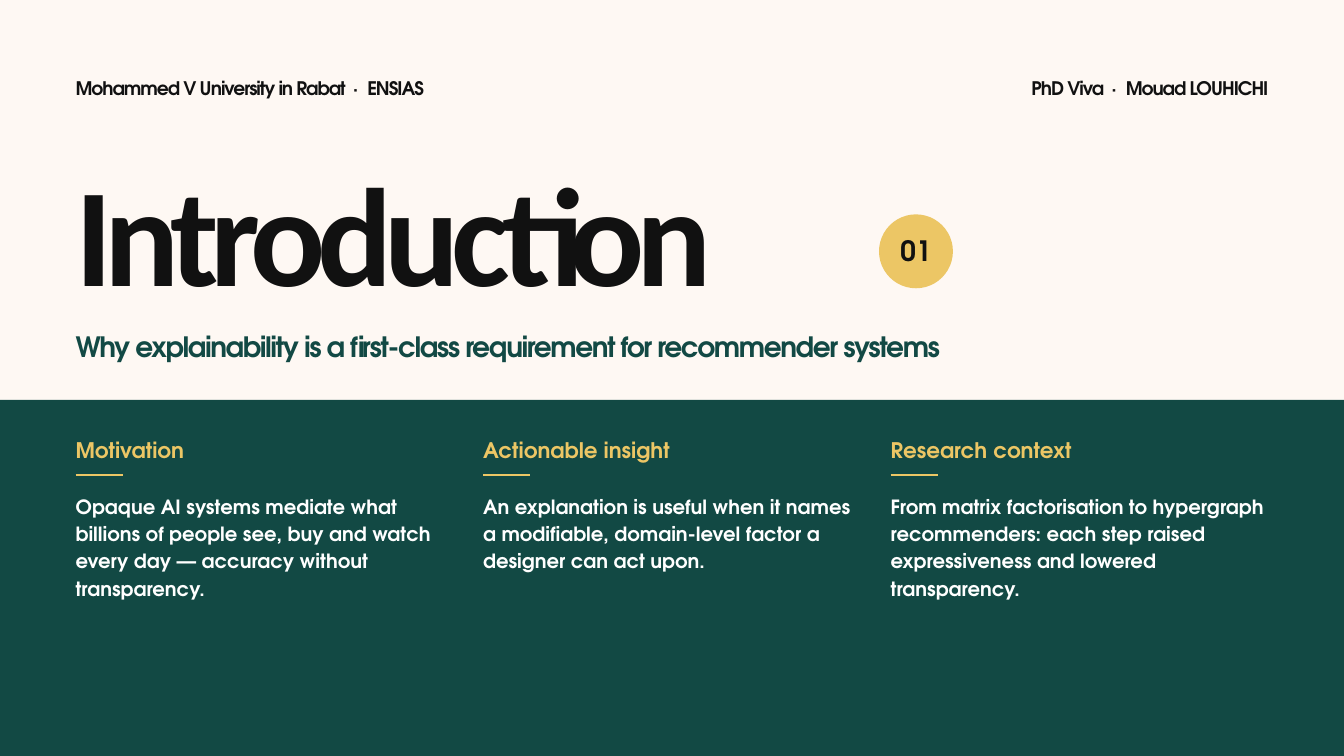
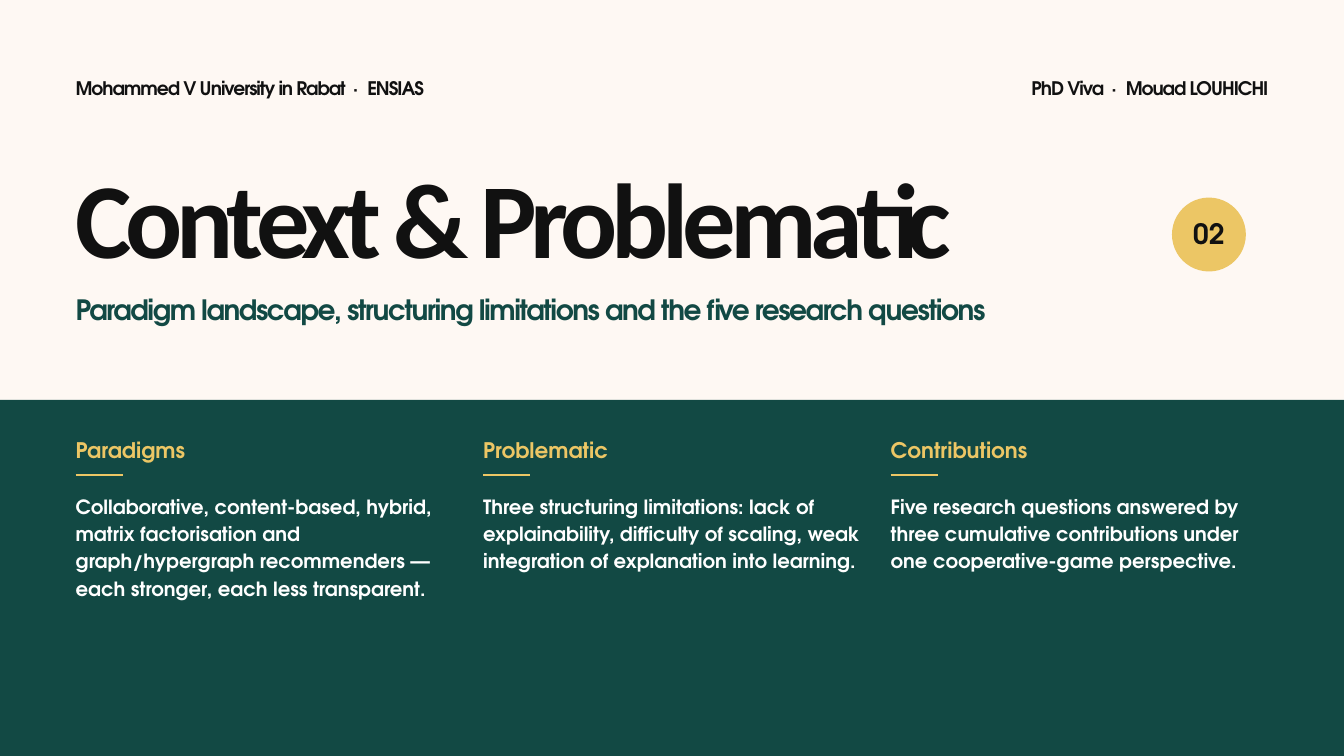
from pptx import Presentation
from pptx.dml.color import RGBColor
from pptx.enum.shapes import MSO_CONNECTOR, MSO_SHAPE
from pptx.enum.text import MSO_ANCHOR, MSO_AUTO_SIZE, PP_ALIGN
from pptx.oxml.ns import qn
from pptx.util import Pt
from lxml import etree

CREAM = RGBColor(0xFE, 0xF8, 0xF3)
INK = RGBColor(0x11, 0x11, 0x11)
GREEN = RGBColor(0x12, 0x49, 0x44)
GOLD = RGBColor(0xEC, 0xC6, 0x65)
WHITE = RGBColor(0xFF, 0xFF, 0xFF)

STRAIGHT = MSO_CONNECTOR.STRAIGHT
RECTANGLE, OVAL = MSO_SHAPE.RECTANGLE, MSO_SHAPE.OVAL
TOP, MIDDLE = MSO_ANCHOR.TOP, MSO_ANCHOR.MIDDLE
NO_AUTOFIT = MSO_AUTO_SIZE.NONE
LEFT, CENTER, RIGHT = PP_ALIGN.LEFT, PP_ALIGN.CENTER, PP_ALIGN.RIGHT

BODY_FONT, TITLE_FONT = "TeX Gyre Adventor", "Calibri"

HEADERS = [
    (("Mohammed V University in Rabat", "ENSIAS"), LEFT),
    (("PhD Viva", "Mouad LOUHICHI"), RIGHT),
]

SECTIONS = [
    {
        "number": "01",
        "title": "Introduction",
        "title_size": 150,
        "title_height": 180,
        "badge": (941.8, 229.7),
        "subtitle": "Why explainability is a first-class requirement for recommender systems",
        "subtitle_top": 351.4,
        "columns": [
            ("Motivation", "Opaque AI systems mediate what billions of people see, buy and "
             "watch every day — accuracy without transparency."),
            ("Actionable insight", "An explanation is useful when it names a modifiable, "
             "domain-level factor a designer can act upon."),
            ("Research context", "From matrix factorisation to hypergraph recommenders: each "
             "step raised expressiveness and lowered transparency."),
        ],
    },
    {
        "number": "02",
        "title": "Context & Problematic",
        "title_size": 114,
        "title_height": 136.8,
        "badge": (1255.7, 211.7),
        "subtitle": "Paradigm landscape, structuring limitations and the five research questions",
        "subtitle_top": 311,
        "columns": [
            ("Paradigms", "Collaborative, content-based, hybrid, matrix factorisation and "
             "graph/hypergraph recommenders — each stronger, each less transparent."),
            ("Problematic", "Three structuring limitations: lack of explainability, "
             "difficulty of scaling, weak integration of explanation into learning."),
            ("Contributions", "Five research questions answered by three cumulative "
             "contributions under one cooperative-game perspective."),
        ],
    },
]

SLIDE_WIDTH, SLIDE_HEIGHT = 1440, 810
MARGIN = 81
CONTENT_WIDTH = SLIDE_WIDTH - 2 * MARGIN
HEADER_TOP, HEADER_WIDTH = 77.8, 576
TITLE_TOP, TITLE_WIDTH = 183.6, 1170
BADGE_SIZE = 79.2
BAND_TOP = 428.4
COLUMN_COUNT, COLUMN_GAP = 3, 32
COLUMN_WIDTH = (CONTENT_WIDTH - (COLUMN_COUNT - 1) * COLUMN_GAP) / COLUMN_COUNT
HEADING_TOP, RULE_TOP, BODY_TOP = 468, 509, 525.6
RULE_LENGTH = 50.4

HEADER_STYLE = {"size": 20, "line": 28, "color": INK, "spacing": -1.1}
BADGE_STYLE = {"size": 30, "line": 34, "color": INK, "align": CENTER, "anchor": MIDDLE}
SUBTITLE_STYLE = {"size": 30, "line": 38, "color": GREEN, "spacing": -1.5}
HEADING_STYLE = {"size": 23, "line": 28, "color": GOLD}
BODY_STYLE = {"size": 21, "line": 29.4, "color": WHITE}
SEPARATOR_SPACING = 2


def write(shape, runs, size, line, color, font=BODY_FONT, spacing=0, align=LEFT, anchor=TOP):
    """Fill a shape with one paragraph made of (text, extra spacing) runs."""
    frame = shape.text_frame
    frame_format = {
        "margin_left": 0, "margin_top": 0, "margin_right": 0, "margin_bottom": 0,
        "word_wrap": True, "auto_size": NO_AUTOFIT, "vertical_anchor": anchor,
    }
    for name, value in frame_format.items():
        setattr(frame, name, value)
    paragraph = frame.paragraphs[0]
    paragraph.alignment = align
    paragraph.line_spacing = Pt(line)
    for text, run_spacing in runs:
        run = paragraph.add_run()
        run.text = text
        for name, value in {"name": font, "size": Pt(size), "bold": True}.items():
            setattr(run.font, name, value)
        run.font.color.rgb = color
        run_spacing = run_spacing or spacing
        if run_spacing:
            run._r.get_or_add_rPr().set("spc", str(round(run_spacing * 100)))


def add_text(slide, text, left, top, width, height, style):
    """Add a text box holding a single run."""
    box = slide.shapes.add_textbox(Pt(left), Pt(top), Pt(width), Pt(height))
    write(box, [(text, 0)], **style)


def add_filled(slide, kind, left, top, width, height, color):
    """Add a flat shape without outline."""
    shape = slide.shapes.add_shape(kind, Pt(left), Pt(top), Pt(width), Pt(height))
    shape.shadow.inherit = False
    shape.fill.solid()
    shape.fill.fore_color.rgb = color
    shape.line.fill.background()
    return shape


def add_headers(slide):
    """Add the institution and the candidate at the top corners."""
    for (first, second), align in HEADERS:
        left = MARGIN if align == LEFT else SLIDE_WIDTH - MARGIN - HEADER_WIDTH
        box = slide.shapes.add_textbox(Pt(left), Pt(HEADER_TOP), Pt(HEADER_WIDTH), Pt(28.8))
        runs = [(first, 0), (" · ", SEPARATOR_SPACING), (second, 0)]
        write(box, runs, align=align, **HEADER_STYLE)


def add_title(slide, section):
    """Place the title, the numbered badge and the subtitle."""
    size = section["title_size"]
    title = slide.shapes.title
    place = {"left": MARGIN, "top": TITLE_TOP, "width": TITLE_WIDTH,
             "height": section["title_height"]}
    for name, value in place.items():
        setattr(title, name, Pt(value))
    write(title, [(section["title"], 0)], size=size, line=round(size * 1.02, 1),
          color=INK, font=TITLE_FONT, spacing=round(-0.058 * size, 1))
    badge = add_filled(slide, OVAL, *section["badge"], BADGE_SIZE, BADGE_SIZE, GOLD)
    write(badge, [(section["number"], 0)], **BADGE_STYLE)
    add_text(slide, section["subtitle"], MARGIN, section["subtitle_top"],
             CONTENT_WIDTH, 50.4, SUBTITLE_STYLE)


def add_columns(slide, columns):
    """Add the green band with its headed columns."""
    add_filled(slide, RECTANGLE, 0, BAND_TOP, SLIDE_WIDTH, SLIDE_HEIGHT - BAND_TOP, GREEN)
    for index, (heading, body) in enumerate(columns):
        left = MARGIN + index * (COLUMN_WIDTH + COLUMN_GAP)
        add_text(slide, heading, left, HEADING_TOP, COLUMN_WIDTH, 36, HEADING_STYLE)
        rule = slide.shapes.add_connector(
            STRAIGHT, Pt(left), Pt(RULE_TOP), Pt(left + RULE_LENGTH), Pt(RULE_TOP))
        rule.line.color.rgb = GOLD
        rule.line.width = Pt(2.5)
        etree.SubElement(rule._element.spPr, qn("a:effectLst"))
        add_text(slide, body, left, BODY_TOP, COLUMN_WIDTH, 244.8, BODY_STYLE)


def main():
    """Build the section slides and save them."""
    presentation = Presentation()
    presentation.slide_width = Pt(SLIDE_WIDTH)
    presentation.slide_height = Pt(SLIDE_HEIGHT)
    background = presentation.slide_master.background.fill
    background.solid()
    background.fore_color.rgb = CREAM
    title_only = presentation.slide_layouts.get_by_name("Title Only")
    for section in SECTIONS:
        slide = presentation.slides.add_slide(title_only)
        add_headers(slide)
        add_title(slide, section)
        add_columns(slide, section["columns"])
    presentation.save("out.pptx")


if __name__ == "__main__":
    main()
